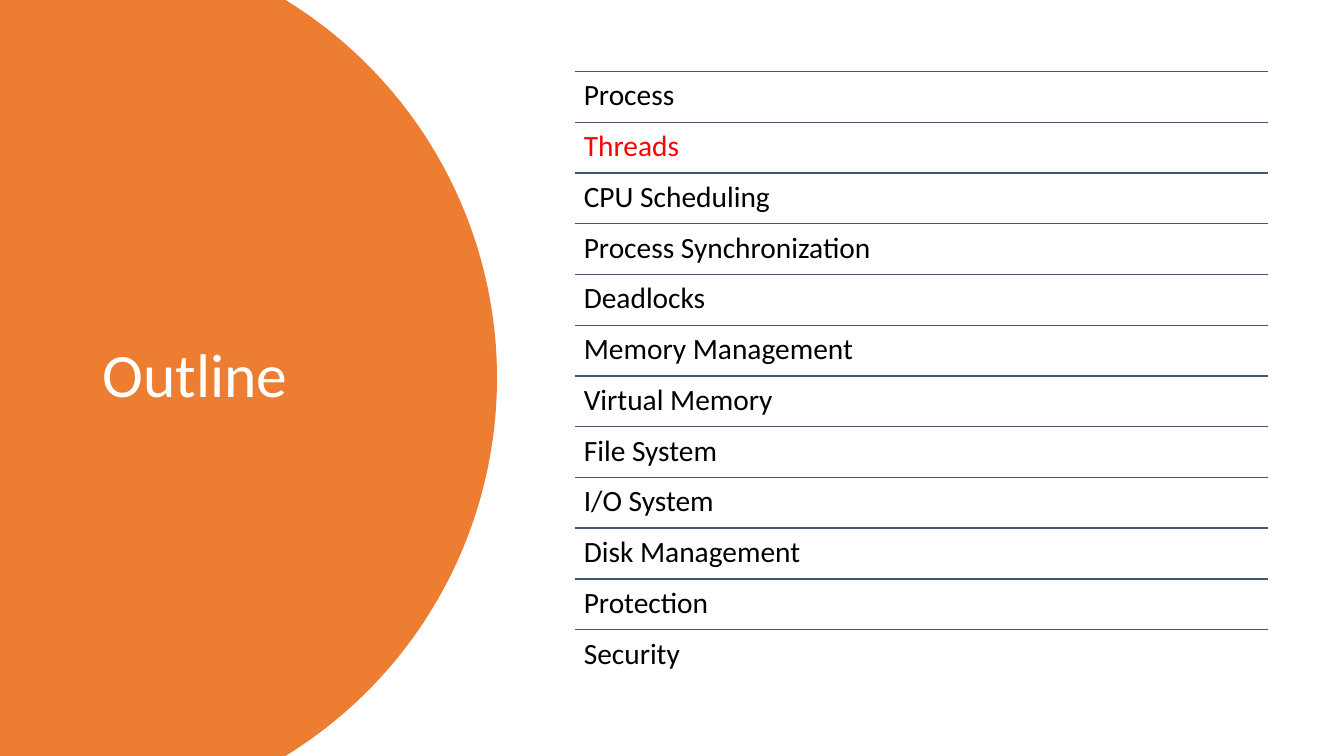
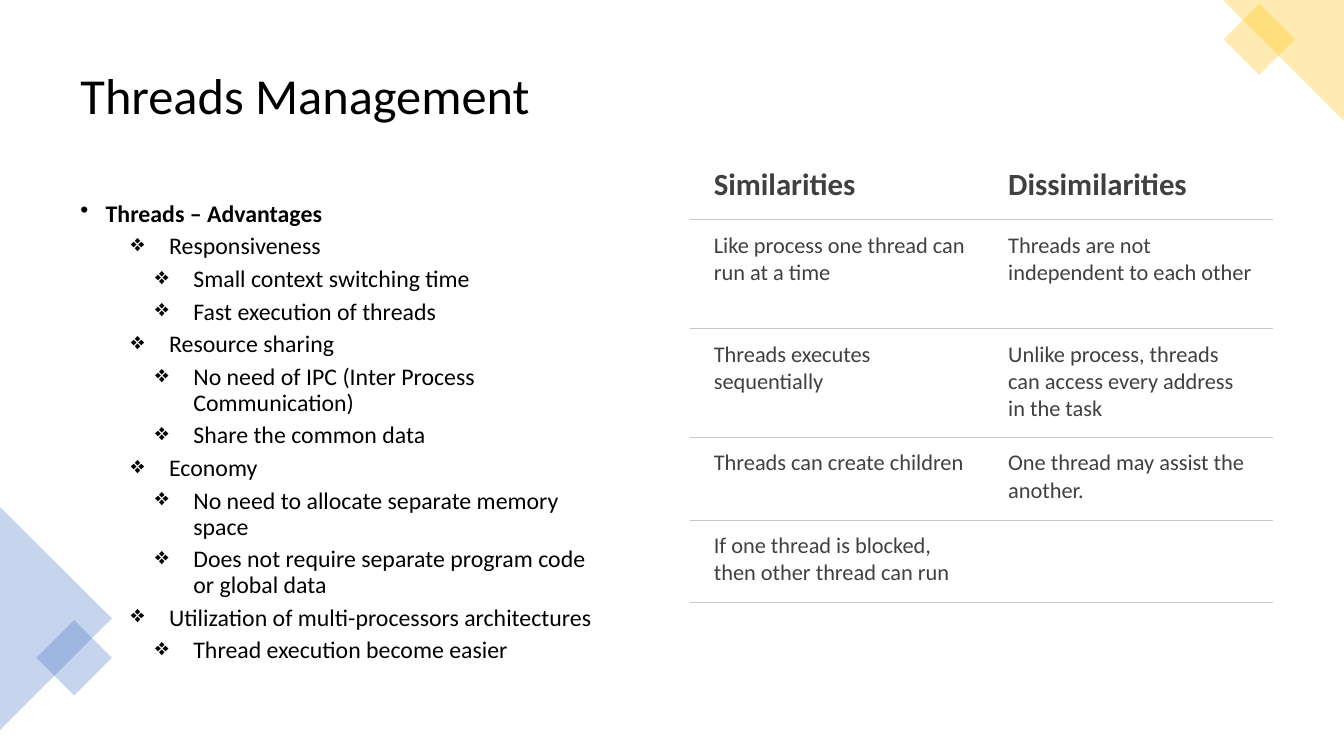
from math import asin, cos, sin

from lxml.etree import SubElement
from pptx import Presentation
from pptx.dml.color import RGBColor
from pptx.enum.shapes import MSO_CONNECTOR as Connector
from pptx.enum.shapes import MSO_SHAPE as Preset
from pptx.enum.text import MSO_ANCHOR as Anchor
from pptx.oxml import parse_xml
from pptx.oxml.ns import nsdecls, qn
from pptx.util import Inches, Pt

WIDTH, HEIGHT = 13.33, 7.5
FONT = "Calibri"
BLACK, WHITE, RED = "000000", "FFFFFF", "FF0000"
ORANGE, BLUE, GOLD = "ED7D31", "4472C4", "FFC000"
RULE, CELL_TEXT, CELL_RULE = "44546A", "404040", "C7C6C1"
NO_GRID_STYLE = "{2D5ABB26-0587-4C30-8999-92F81FD0307C}"

TOPICS = [
    "Process", "Threads", "CPU Scheduling", "Process Synchronization",
    "Deadlocks", "Memory Management", "Virtual Memory", "File System",
    "I/O System", "Disk Management", "Protection", "Security",
]
CURRENT_TOPIC = "Threads"

ADVANTAGES = [
    (0, "Threads – Advantages"),
    (1, "Responsiveness"),
    (2, "Small context switching time"),
    (2, "Fast execution of threads"),
    (1, "Resource sharing"),
    (2, "No need of IPC (Inter Process Communication)"),
    (2, "Share the common data"),
    (1, "Economy"),
    (2, "No need to allocate separate memory space"),
    (2, "Does not require separate program code or global data"),
    (1, "Utilization of multi-processors architectures"),
    (2, "Thread execution become easier"),
]
LEVELS = [(0.25, 0.25, "•"), (0.88, 0.38, "❖"), (1.12, 0.38, "❖")]

COMPARISON = [
    ("Similarities", "Dissimilarities"),
    ("Like process one thread can run at a time",
     "Threads are not independent to each other"),
    ("Threads executes sequentially",
     "Unlike process, threads can access every address in the task"),
    ("Threads can create children", "One thread may assist the another."),
    ("If one thread is blocked, then other thread can run", ""),
]
COLUMN_WIDTHS = [2.92, 2.87]
ROW_HEIGHTS = [0.65, 1.08, 1.08, 0.82, 0.82]


def color(value):
    return RGBColor.from_string(value)


def apply(target, values):
    for name, value in values.items():
        setattr(target, name, value)


def add_span(para, text, size, ink, bold=False):
    span = para.add_run()
    span.text = text
    apply(span.font, {"name": FONT, "size": Pt(size), "bold": bold})
    span.font.color.rgb = color(ink)


def add_box(page, left, top, width, height, **frame_format):
    box = page.shapes.add_textbox(*map(Inches, (left, top, width, height)))
    apply(box.text_frame, {"word_wrap": True, **frame_format})
    return box.text_frame


def add_line_of_text(frame, text, size, ink):
    para = frame.paragraphs[0]
    para.line_spacing = 0.9
    add_span(para, text, size, ink)


def add_title(page, text, area, size, ink):
    frame = add_box(page, *area, vertical_anchor=Anchor.MIDDLE)
    add_line_of_text(frame, text, size, ink)


def paint(shape, fill, opacity=100):
    shape.shadow.inherit = False
    shape.fill.solid()
    shape.fill.fore_color.rgb = color(fill)
    shape.line.fill.background()
    if opacity < 100:
        tint = shape.element.spPr.find(".//" + qn("a:srgbClr"))
        SubElement(tint, qn("a:alpha"), val=str(opacity * 1000))


def add_disc(page):
    center_x, center_y, radius, steps = 0.53, HEIGHT / 2, 4.4, 90
    limit = asin(center_y / radius)
    angles = [limit * (2 * step / steps - 1) for step in range(steps + 1)]
    arc = [(Inches(center_x + radius * cos(angle)),
            Inches(center_y + radius * sin(angle))) for angle in angles]
    outline = page.shapes.build_freeform(0, 0)
    outline.add_line_segments(arc + [(0, Inches(HEIGHT))], close=True)
    paint(outline.convert_to_shape(), ORANGE)


def add_corner(page, preset, area, rotation, fill, tip=None):
    shape = page.shapes.add_shape(preset, *map(Inches, area))
    shape.rotation = rotation
    if tip is not None:
        shape.adjustments[0] = tip
    paint(shape, fill, opacity=30)


def add_rule(page, left, top, width):
    rule = page.shapes.add_connector(
        Connector.STRAIGHT, *map(Inches, (left, top, left + width, top)))
    rule.line.width = Pt(1)
    rule.line.color.rgb = color(RULE)
    SubElement(rule._element.spPr, qn("a:effectLst"))


def add_topics(page):
    left, top, width, total = 5.7, 0.71, 6.88, 6.04
    pitch = total / len(TOPICS)
    inset = Inches(0.09)
    margins = {f"margin_{side}": inset
               for side in ("left", "top", "right", "bottom")}
    for index, topic in enumerate(TOPICS):
        row_top = top + index * pitch
        add_rule(page, left, row_top, width)
        frame = add_box(page, left, row_top, width, pitch, **margins)
        ink = RED if topic == CURRENT_TOPIC else BLACK
        add_line_of_text(frame, topic, 21, ink)


def add_bullets(page, items, area):
    frame = add_box(page, *area)
    for index, (level, text) in enumerate(items):
        para = frame.add_paragraph() if index else frame.paragraphs[0]
        indent, hanging, mark = LEVELS[level]
        props = para._p.get_or_add_pPr()
        props.set("marL", str(Inches(indent)))
        props.set("indent", str(-Inches(hanging)))
        SubElement(props, qn("a:buChar"), char=mark)
        apply(para, {"level": level, "line_spacing": 0.9,
                     "space_before": Pt(5 if index else 0)})
        add_span(para, text, 17, BLACK, bold=level == 0)


def fill_cell(cell, text, is_header):
    apply(cell, {"margin_left": Inches(0.24), "margin_right": Inches(0.18),
                 "margin_top": Inches(0.12), "margin_bottom": Inches(0.12)})
    cell.fill.background()
    border = parse_xml(
        f'<a:lnB {nsdecls("a")} w="{Pt(0.75)}"><a:solidFill>'
        f'<a:srgbClr val="{CELL_RULE}"/></a:solidFill></a:lnB>')
    cell._tc.get_or_add_tcPr().insert(0, border)
    if text:
        add_span(cell.text_frame.paragraphs[0], text,
                 22 if is_header else 16, CELL_TEXT, is_header)


def add_comparison(page, left, top):
    area = (left, top, sum(COLUMN_WIDTHS), sum(ROW_HEIGHTS))
    table = page.shapes.add_table(
        len(ROW_HEIGHTS), len(COLUMN_WIDTHS), *map(Inches, area)).table
    apply(table, {"first_row": False, "horz_banding": False})
    table._tbl.tblPr.find(qn("a:tableStyleId")).text = NO_GRID_STYLE
    for column, width in zip(table.columns, COLUMN_WIDTHS):
        column.width = Inches(width)
    for index, (row, height) in enumerate(zip(table.rows, ROW_HEIGHTS)):
        row.height = Inches(height)
        for cell, text in zip(row.cells, COMPARISON[index]):
            fill_cell(cell, text, is_header=index == 0)


def add_page(deck):
    return deck.slides.add_slide(deck.slide_layouts[6])


def build_outline(deck):
    page = add_page(deck)
    add_disc(page)
    add_title(page, "Outline", (0.92, 0.7, 3.23, 6.09), 44, WHITE)
    add_topics(page)


def build_threads(deck):
    page = add_page(deck)
    add_title(page, "Threads Management", (0.7, 0.35, 5.44, 1.24), 36, BLACK)
    add_bullets(page, ADVANTAGES, (0.7, 1.95, 5.44, 4.81))
    triangle, square = Preset.ISOSCELES_TRIANGLE, Preset.RECTANGLE
    add_corner(page, triangle, (-0.55, 5.58, 2.21, 1.11), 90, BLUE, tip=0.5)
    add_corner(page, square, (0.47, 6.26, 0.53, 0.53), 45, BLUE)
    add_corner(page, triangle, (12.13, 0, 1.2, 1.2), 270, GOLD, tip=1)
    add_corner(page, square, (12.24, 0.14, 0.5, 0.5), 45, GOLD)
    add_comparison(page, 6.84, 1.53)


def main():
    deck = Presentation()
    apply(deck, {"slide_width": Inches(WIDTH), "slide_height": Inches(HEIGHT)})
    build_outline(deck)
    build_threads(deck)
    deck.save("out.pptx")


if __name__ == "__main__":
    main()
